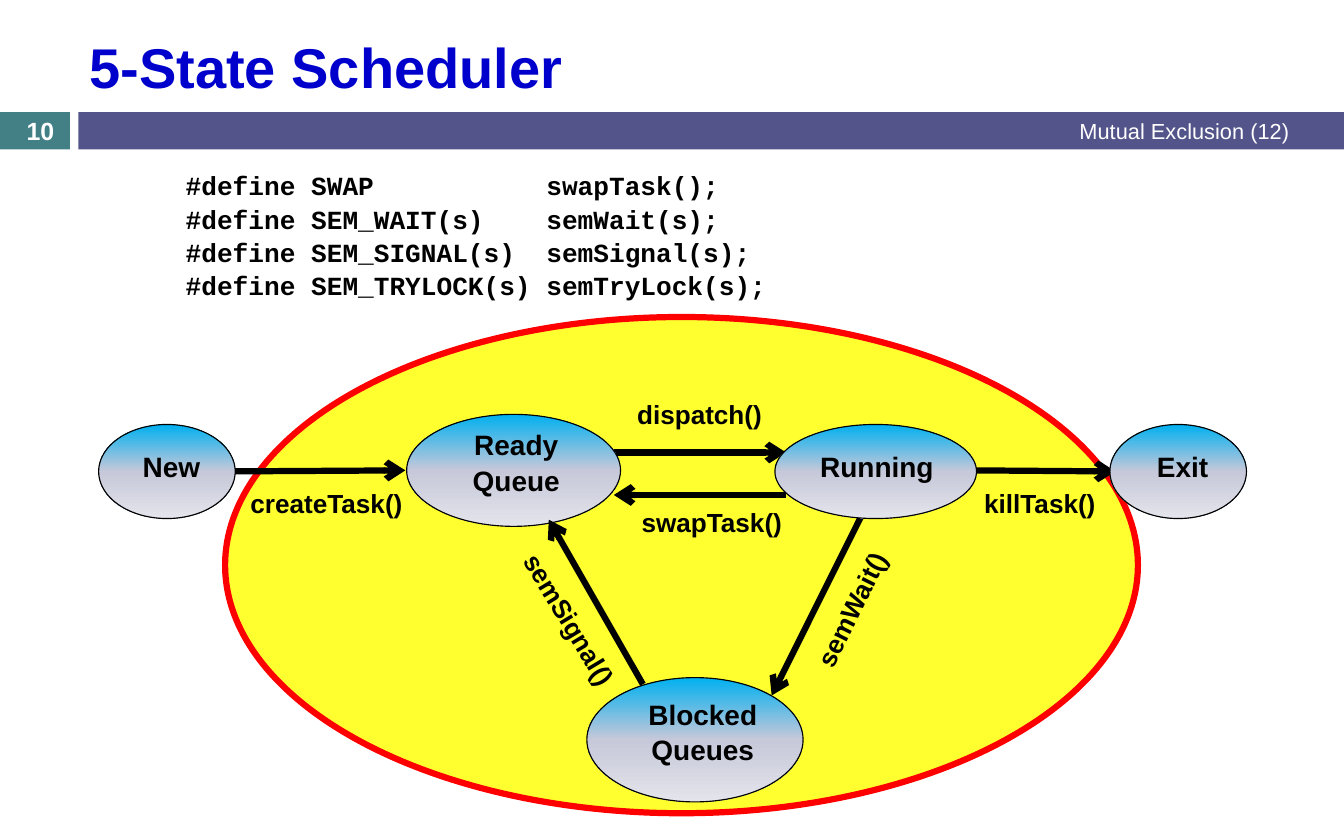
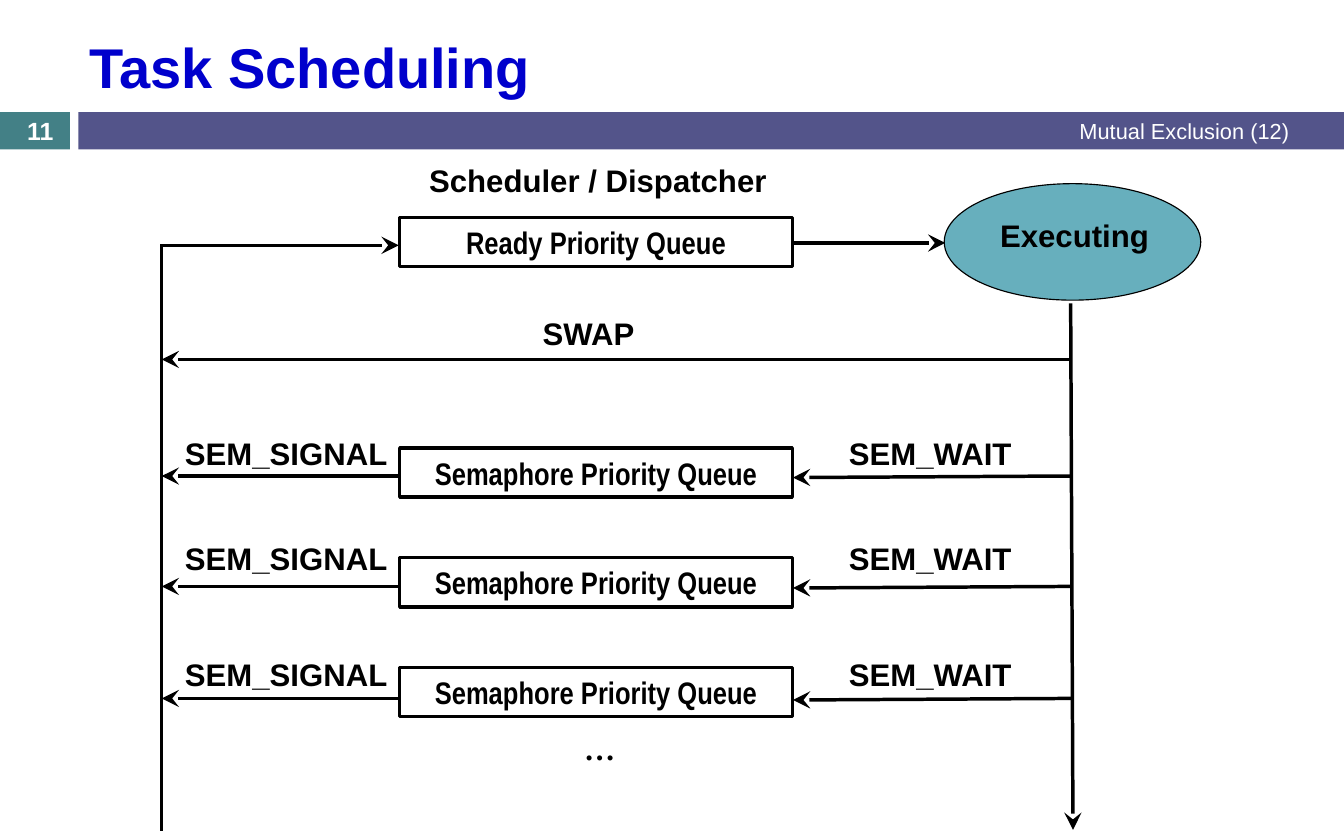
import copy

import lxml.etree
import pptx
import pptx.dml.color
import pptx.enum.shapes
import pptx.enum.text
import pptx.oxml.ns
import pptx.util

Pt = pptx.util.Pt
SHAPE = pptx.enum.shapes.MSO_SHAPE
ALIGN = pptx.enum.text.PP_ALIGN
ANCHOR = pptx.enum.text.MSO_ANCHOR
BLACK, WHITE, BLUE, RED = "000000", "FFFFFF", "0000CC", "FF0000"
TEAL, INDIGO, YELLOW, AQUA = "438086", "53548A", "FFFF00", "67AFBD"
STEPS = ((0, "00B0F0"), (0.5, "C7C8D9"), (1, "E4E4EC"))
FONT = "Arial"


def color(code):
    """Turn a hex string into a colour."""
    return pptx.dml.color.RGBColor.from_string(code)


def node(parent, tag, **attrs):
    """Append a drawing element to a parent."""
    return lxml.etree.SubElement(parent, pptx.oxml.ns.qn("a:" + tag), attrs)


def write(frame, lines, size, ink=BLACK, font=FONT, bold=True,
          align=ALIGN.CENTER, anchor=ANCHOR.TOP, space=None, tab=None):
    """Fill a text frame with one paragraph per line."""
    frame.word_wrap = True
    frame.vertical_anchor = anchor
    for i, line in enumerate(lines):
        para = frame.paragraphs[0] if i == 0 else frame.add_paragraph()
        if tab:
            stops = node(para._p.get_or_add_pPr(), "tabLst")
            node(stops, "tab", pos=str(Pt(tab)), algn="l")
        para.alignment = align
        if space:
            para.line_spacing = space
        run = para.add_run()
        run.text = line
        run.font.size = Pt(size)
        run.font.name = font
        run.font.bold = bold
        run.font.color.rgb = color(ink)


def label(slide, box, lines, size, turn=0, **style):
    """Add a text box."""
    text = slide.shapes.add_textbox(*map(Pt, box))
    text.rotation = turn
    write(text.text_frame, lines, size, **style)


def block(slide, kind, box, fill=None, line=None, width=0.75):
    """Add a preset shape with a plain fill and outline."""
    shape = slide.shapes.add_shape(kind, *map(Pt, box))
    shape.shadow.inherit = False
    if fill:
        shape.fill.solid()
        shape.fill.fore_color.rgb = color(fill)
    else:
        shape.fill.background()
    if line:
        shape.line.color.rgb = color(line)
        shape.line.width = Pt(width)
    else:
        shape.line.fill.background()
    return shape


def arrow(slide, start, end, width, head=None, size="med"):
    """Add a straight line with an optional arrowhead."""
    line = slide.shapes.add_connector(
        pptx.enum.shapes.MSO_CONNECTOR.STRAIGHT, *map(Pt, start + end))
    line.line.color.rgb = color(BLACK)
    line.line.width = Pt(width)
    if head:
        node(line.line._get_or_add_ln(), "tailEnd", type=head, w=size, len=size)
    node(line._element.spPr, "effectLst")


def shade(shape):
    """Give a shape the three-step gradient of a state."""
    shape.fill.gradient()
    shape.fill.gradient_angle = 270
    stops = shape._element.find(".//" + pptx.oxml.ns.qn("a:gsLst"))
    stops.append(copy.deepcopy(stops[0]))
    for stop, (place, code) in zip(shape.fill.gradient_stops, STEPS):
        stop.position = place
        stop.color.rgb = color(code)


def state(slide, oval, box, *lines):
    """Add a scheduler state with its name."""
    shade(block(slide, SHAPE.OVAL, oval, WHITE, BLACK))
    label(slide, box, lines, 18, space=1.06)


def call(slide, box, name, turn=0):
    """Add the name of a call beside its arrow."""
    label(slide, box, [name], 16.8, turn)


def queue(slide, top, name):
    """Add an outlined queue box."""
    shape = block(slide, SHAPE.RECTANGLE, (257, top, 252.4, 31.7),
                  line=BLACK, width=2.25)
    write(shape.text_frame, [name], 20, font="Arial Narrow",
          anchor=ANCHOR.MIDDLE)


def base(deck, title, page):
    """Add a slide with title, bands and page number."""
    slide = deck.slides.add_slide(deck.slide_layouts[6])
    block(slide, SHAPE.RECTANGLE, (0, 72, 45, 24), TEAL)
    block(slide, SHAPE.RECTANGLE, (50.4, 72, 813.6, 24), INDIGO)
    mid = ANCHOR.MIDDLE
    label(slide, (50.4, 13.7, 785.5, 57.6), [title], 36, ink=BLUE,
          align=ALIGN.LEFT, anchor=mid)
    label(slide, (324, 71.3, 512, 25.2), ["Mutual Exclusion (12)"], 14,
          ink=WHITE, bold=False, align=ALIGN.RIGHT, anchor=mid)
    label(slide, (0, 73.4, 51.8, 21.6), [str(page)], 16, ink=WHITE, anchor=mid)
    return slide


def states(deck):
    """Build the five-state scheduler slide."""
    slide = base(deck, "5-State Scheduler", 10)
    core = block(slide, SHAPE.OVAL, (144.7, 203.8, 586.8, 319), YELLOW, RED, 4)
    tint = core._element.spPr.find(".//" + pptx.oxml.ns.qn("a:srgbClr"))
    node(tint, "alpha", val="81000")

    arrow(slide, (558.7, 321.8), (496.1, 447.1), 4, "arrow")
    state(slide, (377.3, 435.6, 139, 79.9), (378.7, 443.5, 146.2, 65.5),
          "Blocked", "Queues")
    call(slide, (473.8, 378, 146.9, 27.4), "semWait()", 296.3)

    for start, end in (((140.4, 303.1), (260.6, 302.4)),
                       ((624.2, 302.4), (717.1, 303.1)),
                       ((394.6, 290.9), (505.4, 290.9)),
                       ((505.4, 318.2), (394.6, 318.2))):
        arrow(slide, start, end, 4, "arrow")
    for left, top, name in ((140.4, 309.6, "createTask()"),
                            (380.2, 252.7, "dispatch()"),
                            (388.1, 321.8, "swapTask()"),
                            (599, 309.6, "killTask()")):
        call(slide, (left, top, 139, 27.4), name)

    for left, name in ((63.4, "New"), (713.5, "Exit")):
        state(slide, (left, 272.9, 87.8, 60.5), (left + 0.7, 284.4, 92.2, 36),
              name)
    state(slide, (261.4, 266.4, 137.5, 72), (259.9, 270, 144, 65.5),
          "Ready", "Queue")
    state(slide, (498.2, 272.9, 129.6, 60.5), (504, 284.4, 119.5, 36), "Running")

    label(slide, (112.3, 104.4, 541.4, 88.6),
          ["#define SWAP\tswapTask();",
           "#define SEM_WAIT(s)\tsemWait(s);",
           "#define SEM_SIGNAL(s)\tsemSignal(s);",
           "#define SEM_TRYLOCK(s)\tsemTryLock(s);"],
          16.8, font="Courier New", align=ALIGN.LEFT, space=1.06, tab=231.84)
    arrow(slide, (413.3, 439.9), (352.8, 334.1), 4, "arrow")
    call(slide, (303.1, 384.5, 126, 27.4), "semSignal()", 59)


def tasks(deck):
    """Build the task scheduling slide."""
    slide = base(deck, "Task Scheduling", 11)
    west, east, left, right = 104, 688.8, 256.3, 509.8

    def flow(start, end, head="stealth"):
        """Add a flow line."""
        arrow(slide, start, end, 2.25, head, "lg")

    def tag(x, y, width, text, font=FONT):
        """Add a flow label."""
        label(slide, (x, y, width, 31.7), [text], 20, font=font)

    queue(slide, 139.7, "Ready Priority Queue")
    flow((west, 157.7), (left, 157.7))
    flow((west, 157), (west, 534.2), None)
    flow((right, 156.2), (607.7, 156.2))
    flow((688.3, 195.1), (689.8, 533.5))
    flow((east, 231.1), (west, 231.1))
    tag(313.9, 198.7, 128.9, "SWAP")

    for i, (top, mid) in enumerate(((275.8, 306), (343.4, 377), (417.6, 449))):
        queue(slide, 288 + 70.5 * i, "Semaphore Priority Queue")
        flow((left, mid), (west, mid))
        flow((east, mid), (right, mid + 1))
        tag(104.4, top, 159.1, "SEM_SIGNAL")
        tag(518.4, top, 159.1, "SEM_WAIT")

    tag(290.9, 465.1, 189.4, "…", "Times New Roman")
    block(slide, SHAPE.OVAL, (607, 118.1, 164.9, 74.9), AQUA, BLACK)
    tag(609.8, 135.4, 162, "Executing")
    tag(252.7, 100.1, 263.5, "Scheduler / Dispatcher")


def main():
    """Build and save the deck."""
    deck = pptx.Presentation()
    deck.slide_width, deck.slide_height = Pt(864), Pt(540)
    states(deck)
    tasks(deck)
    deck.save("out.pptx")


if __name__ == "__main__":
    main()
